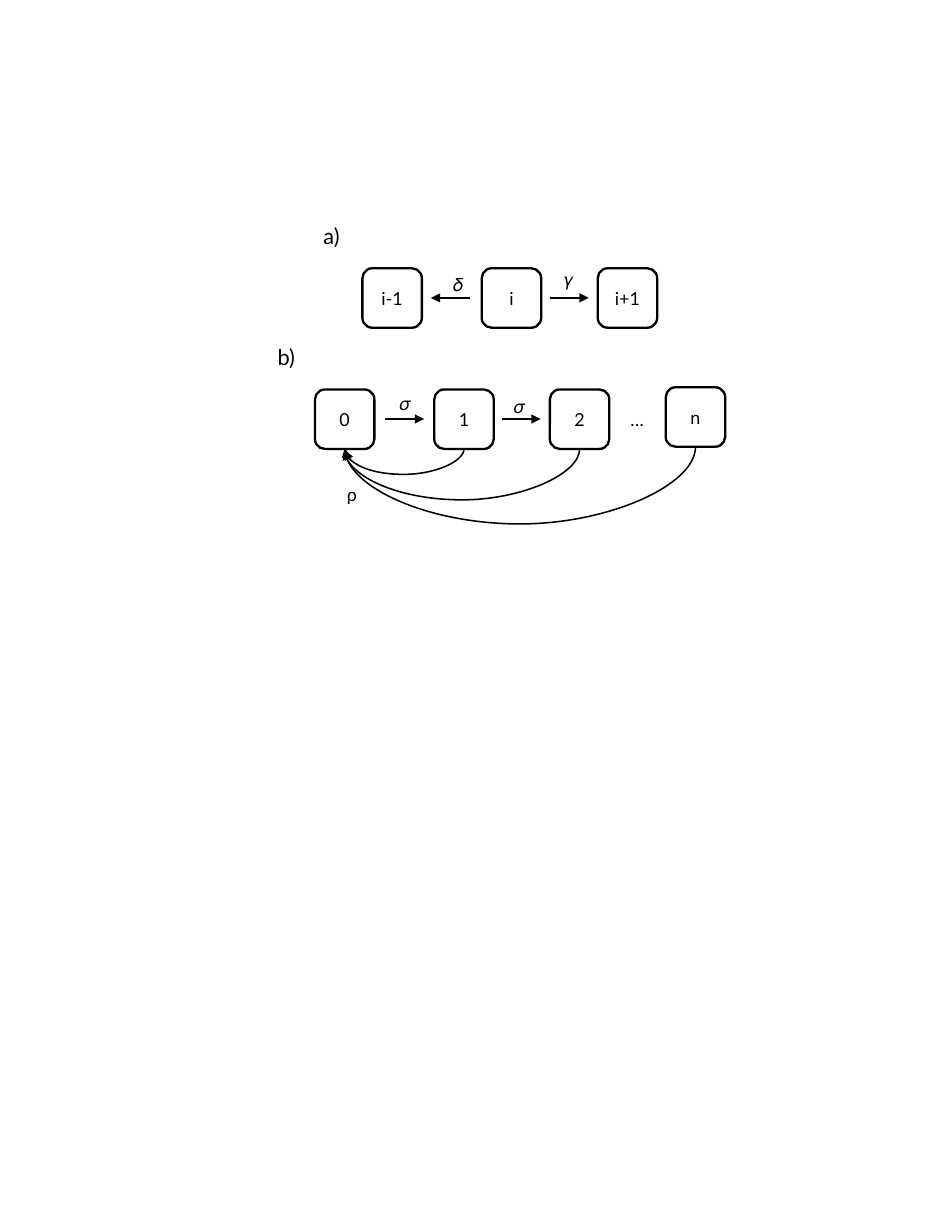
from pptx import Presentation
from pptx.util import Pt
from pptx.dml.color import RGBColor
from pptx.enum.shapes import MSO_SHAPE as Shape, MSO_CONNECTOR as Link
from pptx.enum.text import PP_ALIGN as Align, MSO_ANCHOR as Anchor, MSO_AUTO_SIZE as Fit
from pptx.oxml.ns import qn
from lxml.etree import SubElement as Sub

BLACK = RGBColor(0, 0, 0)
WHITE = RGBColor(255, 255, 255)
SIDE = 38.2   # state box
STEP = 25     # straight arrow
FONT = {"name": "Lato", "size": Pt(11.5)}
HEAD = {**FONT, "size": Pt(14)}


def put(frame, text, style):
    par = frame.paragraphs[0]
    run = par.add_run()
    run.text = text
    for key, val in style.items():
        setattr(run.font, key, val)
    run.font.color.rgb = BLACK
    return par


def state(slide, text, x, y):
    box = slide.shapes.add_shape(Shape.ROUNDED_RECTANGLE, Pt(x), Pt(y), Pt(SIDE), Pt(SIDE))
    box.shadow.inherit = False
    box.fill.solid()
    box.fill.fore_color.rgb = WHITE
    box.line.color.rgb = BLACK
    box.line.width = Pt(1.5)
    box.text_frame.vertical_anchor = Anchor.MIDDLE
    put(box.text_frame, text, FONT).alignment = Align.CENTER


def label(slide, text, x, y, w, h=20.7, style=FONT):
    box = slide.shapes.add_textbox(Pt(x), Pt(y), Pt(w), Pt(h))
    form = {"word_wrap": False, "auto_size": Fit.SHAPE_TO_FIT_TEXT}
    for key, val in form.items():
        setattr(box.text_frame, key, val)
    put(box.text_frame, text, style)


def arrow(slide, x1, y1, x2, y2, kind=Link.STRAIGHT):
    line = slide.shapes.add_connector(kind, Pt(x1), Pt(y1), Pt(x2), Pt(y2))
    line.line.color.rgb = BLACK
    line.line.width = Pt(1)
    Sub(line.line._get_or_add_ln(), qn("a:tailEnd"), type="triangle")
    Sub(line._element.spPr, qn("a:effectLst"))
    return line


def arc(slide, x1, x2, y, drop):
    """Curve from x1 back to x2, hanging below y: a 1 pt wide link turned by 90 degrees."""
    mid, half = (x1 + x2) / 2, (x1 - x2) / 2
    line = arrow(slide, mid - 0.5, y + 0.5 - half, mid + 0.5, y + 0.5 + half, Link.CURVE)
    prop = line._element.spPr
    prop.find(qn("a:xfrm")).set("rot", "5400000")
    bend = prop.find(qn("a:prstGeom")).get_or_add_avLst()
    Sub(bend, qn("a:gd"), name="adj1", fmla=f"val {round(drop * 100000)}")


def main():
    deck = Presentation()
    deck.slide_width, deck.slide_height = Pt(612), Pt(792)
    slide = deck.slides.add_slide(deck.slide_layouts[6])

    # Part a: one step down or up
    label(slide, "a)", 200.9, 139.7, 25.9, 24.5, HEAD)
    for text, x in (("i-1", 233), ("i", 309.7), ("i+1", 384.3)):
        state(slide, text, x, 172.5)
    arrow(slide, 302, 191.5, 302 - STEP, 191.5)
    arrow(slide, 353.5, 191.5, 353.5 + STEP, 191.5)
    label(slide, "𝛿", 284.4, 172.1, 20.9)
    label(slide, "𝛾", 355.7, 169.2, 20.9)

    # Part b: chain of states
    label(slide, "b)", 171.4, 217.4, 25.9, 24.5, HEAD)
    chain = (("0", 202.5, 250.4), ("1", 279.2, 250.4), ("2", 353.5, 250.4), ("n", 428, 249))
    for text, x, y in chain:
        state(slide, text, x, y)
    label(slide, "…", 398.2, 259.2, 22.3)
    for x, left, top in ((247.7, 249.8, 249.1), (322.6, 323.3, 250.6)):
        arrow(slide, x, 269.4, x + STEP, 269.4)
        label(slide, "𝜎", left, top, 21.6)

    # Returns to state 0
    goal = chain[0][1] + SIDE / 2
    for (_, x, y), drop in zip(chain[1:], (16.5, 33, 50)):
        arc(slide, x + SIDE / 2, goal, y + SIDE, drop)
    label(slide, "ρ", 216, 307.4, 17.3)

    deck.save("out.pptx")


if __name__ == "__main__":
    main()
